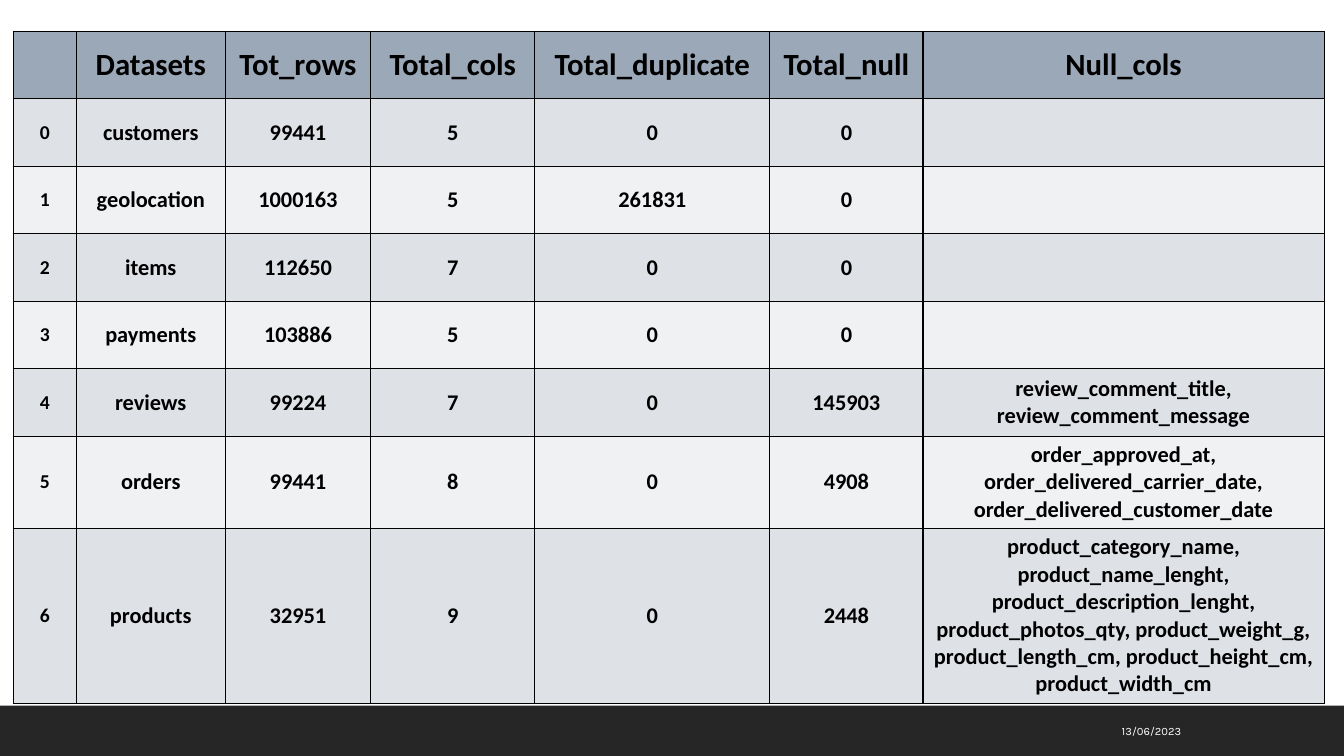
from lxml import etree
from pptx import Presentation
from pptx.dml.color import RGBColor
from pptx.enum.shapes import MSO_SHAPE
from pptx.enum.text import MSO_ANCHOR, PP_ALIGN
from pptx.oxml.ns import qn
from pptx.util import Cm, Pt

RECTANGLE = MSO_SHAPE.RECTANGLE
MIDDLE = MSO_ANCHOR.MIDDLE
CENTER, RIGHT = PP_ALIGN.CENTER, PP_ALIGN.RIGHT

HEADER_FILL = RGBColor(0x9B, 0xA8, 0xB7)
ODD_ROW_FILL = RGBColor(0xDE, 0xE1, 0xE6)
EVEN_ROW_FILL = RGBColor(0xEF, 0xF1, 0xF3)
FOOTER_FILL = RGBColor(0x26, 0x26, 0x26)
BLACK = RGBColor(0, 0, 0)
WHITE = RGBColor(0xFF, 0xFF, 0xFF)

HEADER = ("", "Datasets", "Tot_rows", "Total_cols", "Total_duplicate", "Total_null", "Null_cols")
DATASETS = [
    ("customers", 99441, 5, 0, 0, ""),
    ("geolocation", 1000163, 5, 261831, 0, ""),
    ("items", 112650, 7, 0, 0, ""),
    ("payments", 103886, 5, 0, 0, ""),
    ("reviews", 99224, 7, 0, 145903, "review_comment_title, review_comment_message"),
    ("orders", 99441, 8, 0, 4908,
     "order_approved_at, order_delivered_carrier_date, order_delivered_customer_date"),
    ("products", 32951, 9, 0, 2448,
     "product_category_name, product_name_lenght, product_description_lenght, "
     "product_photos_qty, product_weight_g, product_length_cm, product_height_cm, "
     "product_width_cm"),
]
DATE = "13/06/2023"

SLIDE_WIDTH, SLIDE_HEIGHT = Cm(33.87), Cm(19.05)
FOOTER_HEIGHT = Cm(1.27)
TABLE_LEFT, TABLE_TOP = Cm(0.34), Cm(0.79)
COLUMN_WIDTHS = [Cm(w) for w in (1.58, 3.76, 3.66, 4.14, 5.92, 3.86, 10.11)]
ROW_HEIGHTS = [Cm(h) for h in [1.7] * 6 + [2.32, 4.41]]


def add_borders(cell):
    """Draw a thin black line on all four sides; call before the cell is filled."""
    properties = cell._tc.get_or_add_tcPr()
    for side in ("a:lnL", "a:lnR", "a:lnT", "a:lnB"):
        line = etree.SubElement(properties, qn(side), w=str(Pt(1)))
        solid = etree.SubElement(line, qn("a:solidFill"))
        etree.SubElement(solid, qn("a:srgbClr"), val=str(BLACK))


def write_cell(cell, text, size, fill):
    add_borders(cell)
    cell.fill.solid()
    cell.fill.fore_color.rgb = fill
    cell.vertical_anchor = MIDDLE
    cell.text = text
    paragraph = cell.text_frame.paragraphs[0]
    paragraph.alignment = CENTER
    font = paragraph.font
    font.name, font.size, font.bold = "Calibri", Pt(size), True
    font.color.rgb = BLACK


def add_dataset_table(slide):
    rows = [HEADER] + [(index, *dataset) for index, dataset in enumerate(DATASETS)]
    table = slide.shapes.add_table(
        len(rows), len(HEADER), TABLE_LEFT, TABLE_TOP,
        sum(COLUMN_WIDTHS), sum(ROW_HEIGHTS)).table
    for column, width in zip(table.columns, COLUMN_WIDTHS):
        column.width = width
    for r, (values, height) in enumerate(zip(rows, ROW_HEIGHTS)):
        table.rows[r].height = height
        if r == 0:
            fill = HEADER_FILL
        else:
            fill = ODD_ROW_FILL if r % 2 else EVEN_ROW_FILL
        for c, value in enumerate(values):
            size = 22 if r == 0 else 14 if c == 0 else 16
            write_cell(table.cell(r, c), str(value), size, fill)


def add_footer(slide):
    band = slide.shapes.add_shape(
        RECTANGLE, 0, SLIDE_HEIGHT - FOOTER_HEIGHT, SLIDE_WIDTH, FOOTER_HEIGHT)
    band.shadow.inherit = False
    band.fill.solid()
    band.fill.fore_color.rgb = FOOTER_FILL
    band.line.fill.background()

    date_frame = slide.shapes.add_textbox(Cm(22.83), Cm(17.91), Cm(7.19), Cm(1.02)).text_frame
    date_frame.word_wrap = True
    date_frame.vertical_anchor = MIDDLE
    date_frame.text = DATE
    paragraph = date_frame.paragraphs[0]
    paragraph.alignment = RIGHT
    paragraph.font.name, paragraph.font.size = "Karla", Pt(8)
    paragraph.font.color.rgb = WHITE


def main():
    presentation = Presentation()
    presentation.slide_width, presentation.slide_height = SLIDE_WIDTH, SLIDE_HEIGHT
    slide = presentation.slides.add_slide(presentation.slide_layouts[6])
    add_footer(slide)
    add_dataset_table(slide)
    presentation.save("out.pptx")


if __name__ == "__main__":
    main()
